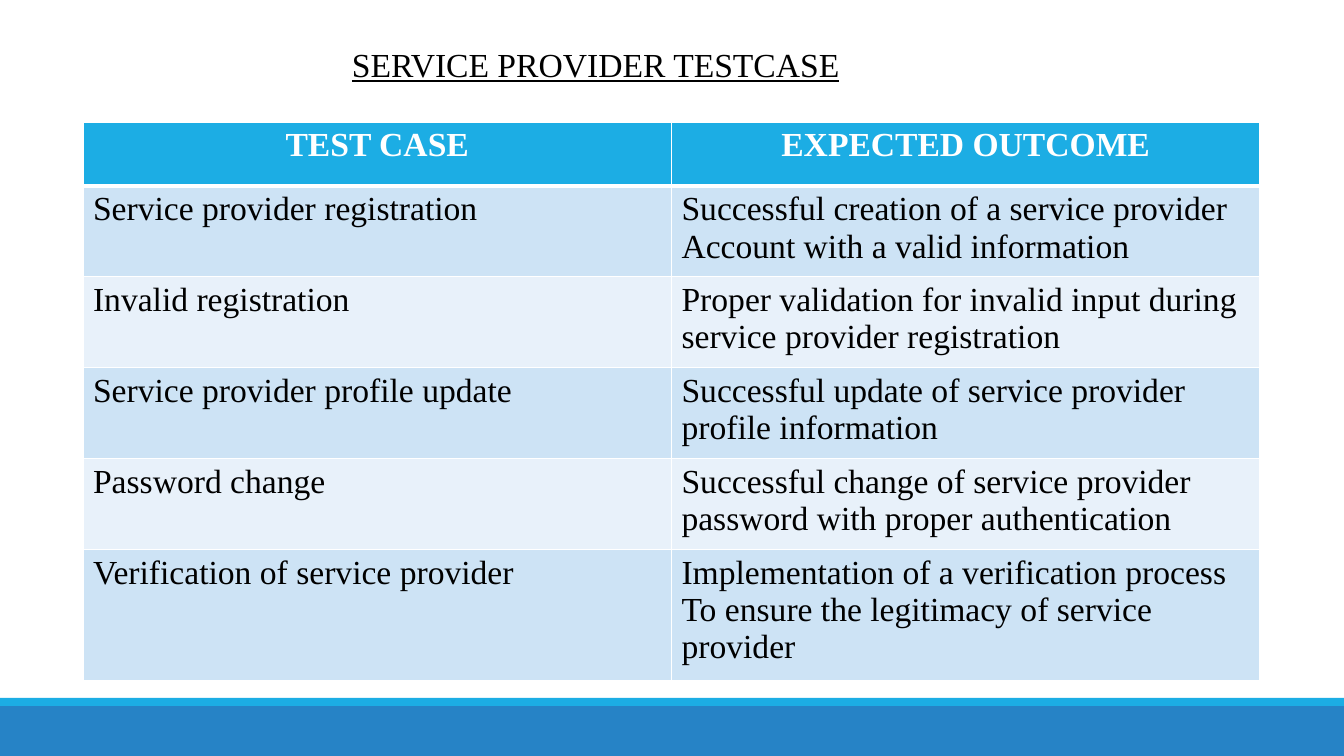
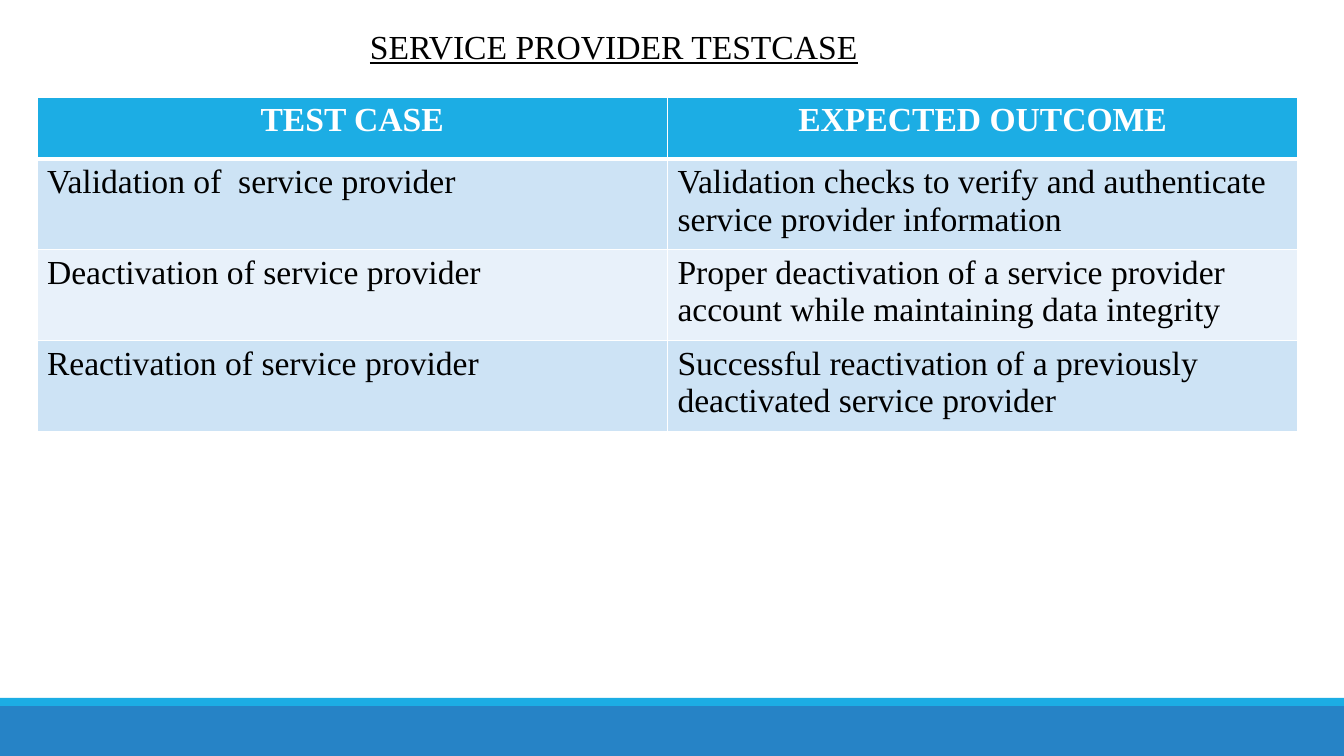
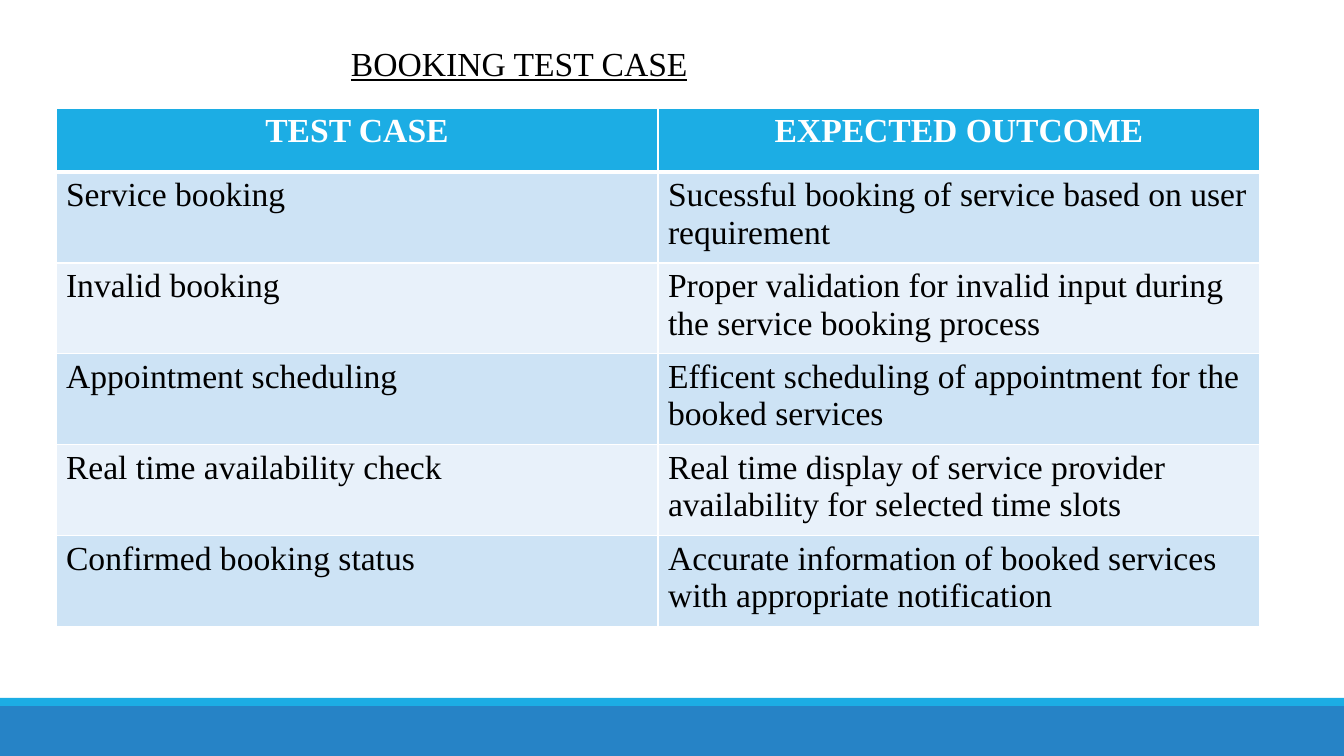
"""Build three slides of test case tables."""
from lxml import etree
from pptx import Presentation
from pptx.dml.color import RGBColor
from pptx.enum.shapes import MSO_SHAPE
from pptx.enum.text import PP_ALIGN
from pptx.oxml.ns import qn
from pptx.util import Emu, Pt

RECTANGLE = MSO_SHAPE.RECTANGLE
LEFT, CENTER = PP_ALIGN.LEFT, PP_ALIGN.CENTER

WHITE = RGBColor(0xFF, 0xFF, 0xFF)
BLACK = RGBColor(0x00, 0x00, 0x00)
CYAN = RGBColor(0x1C, 0xAD, 0xE4)
BLUE = RGBColor(0x26, 0x83, 0xC6)
ROW_FILLS = (RGBColor(0xCD, 0xE3, 0xF5), RGBColor(0xE8, 0xF1, 0xFA))

FONT, FONT_SIZE = "Times New Roman", 24
SLIDE_WIDTH, SLIDE_HEIGHT = 1344, 756
TITLE_HEIGHT = 50
BANDS = [(706, 50, BLUE), (698, 8, CYAN)]
HEADER = ("TEST CASE", "EXPECTED OUTCOME")

SLIDES = [
    {
        "title": "SERVICE PROVIDER TESTCASE",
        "title_box": (342, 39, 763),
        "table_left": 83,
        "table_width": 1177,
        "row_edges": (122, 186, 276, 367, 458, 548, 679),
        "rows": [
            ("Service provider registration",
             "Successful creation of a service provider\nAccount with a valid information"),
            ("Invalid registration",
             "Proper validation for invalid input during service provider registration"),
            ("Service provider profile update",
             "Successful update of service provider profile information"),
            ("Password change",
             "Successful change of service provider password with proper authentication"),
            ("Verification of service provider",
             "Implementation of a verification process\nTo ensure the legitimacy of service provider"),
        ],
    },
    {
        "title": "SERVICE PROVIDER TESTCASE",
        "title_box": (360, 21, 984),
        "table_left": 37,
        "table_width": 1261,
        "row_edges": (97, 159, 249, 340, 431),
        "rows": [
            ("Validation of  service provider",
             "Validation checks to verify and authenticate service provider information"),
            ("Deactivation of service provider",
             "Proper deactivation of a service provider account while maintaining data integrity"),
            ("Reactivation of service provider",
             "Successful reactivation of a previously deactivated service provider"),
        ],
    },
    {
        "title": "BOOKING TEST CASE",
        "title_box": (341, 38, 518),
        "table_left": 56,
        "table_width": 1204,
        "row_edges": (108, 172, 263, 353, 444, 535, 626),
        "rows": [
            ("Service booking",
             "Sucessful booking of service based on user requirement"),
            ("Invalid booking",
             "Proper validation for invalid input during the service booking process"),
            ("Appointment scheduling",
             "Efficent scheduling of appointment for the booked services"),
            ("Real time availability check",
             "Real time display of service provider availability for selected time slots"),
            ("Confirmed booking status",
             "Accurate information of booked services with appropriate notification"),
        ],
    },
]


def px(length):
    """Convert px to EMU."""
    return Emu(round(length * 12192000 / SLIDE_WIDTH))


def write_text(frame, text, color=BLACK, bold=False, underline=False, align=LEFT):
    """Write one paragraph for each line of text."""
    frame.word_wrap = True
    for index, line in enumerate(text.split("\n")):
        paragraph = frame.add_paragraph() if index else frame.paragraphs[0]
        paragraph.alignment = align
        run = paragraph.add_run()
        run.text = line
        font = run.font
        font.name, font.size = FONT, Pt(FONT_SIZE)
        font.bold, font.underline = bold, underline
        font.color.rgb = color


def set_borders(cell, top, bottom):
    """Draw white cell borders, with top and bottom widths in points."""
    properties = cell._tc.get_or_add_tcPr()
    for side, width in (("L", 1), ("R", 1), ("T", top), ("B", bottom)):
        line = etree.SubElement(properties, qn(f"a:ln{side}"), w=str(Pt(width)))
        fill = etree.SubElement(line, qn("a:solidFill"))
        etree.SubElement(fill, qn("a:srgbClr"), val=str(WHITE))


def add_bands(slide):
    """Add the footer bands."""
    for top, height, color in BANDS:
        band = slide.shapes.add_shape(RECTANGLE, 0, px(top), px(SLIDE_WIDTH), px(height))
        band.shadow.inherit = False
        band.fill.solid()
        band.fill.fore_color.rgb = color
        band.line.fill.background()


def add_title(slide, text, box):
    """Add the underlined title."""
    left, top, width = box
    title = slide.shapes.add_textbox(px(left), px(top), px(width), px(TITLE_HEIGHT))
    write_text(title.text_frame, text, underline=True)


def add_case_table(slide, left, width, edges, rows):
    """Add a table with a header and alternating row fills."""
    content = [HEADER, *rows]
    table = slide.shapes.add_table(
        len(content), len(HEADER), px(left), px(edges[0]),
        px(width), px(edges[-1] - edges[0])).table
    for column in table.columns:
        column.width = px(width / len(HEADER))
    for row_index, texts in enumerate(content):
        table.rows[row_index].height = px(edges[row_index + 1] - edges[row_index])
        is_header = row_index == 0
        for column_index, text in enumerate(texts):
            cell = table.cell(row_index, column_index)
            set_borders(cell, top=3 if row_index == 1 else 1, bottom=3 if is_header else 1)
            cell.fill.solid()
            cell.fill.fore_color.rgb = CYAN if is_header else ROW_FILLS[(row_index - 1) % 2]
            write_text(cell.text_frame, text, bold=is_header,
                       color=WHITE if is_header else BLACK,
                       align=CENTER if is_header else LEFT)


def main():
    """Build and save the presentation."""
    presentation = Presentation()
    presentation.slide_width, presentation.slide_height = px(SLIDE_WIDTH), px(SLIDE_HEIGHT)
    for content in SLIDES:
        slide = presentation.slides.add_slide(presentation.slide_layouts[6])
        add_bands(slide)
        add_title(slide, content["title"], content["title_box"])
        add_case_table(slide, content["table_left"], content["table_width"],
                       content["row_edges"], content["rows"])
    presentation.save("out.pptx")


if __name__ == "__main__":
    main()
